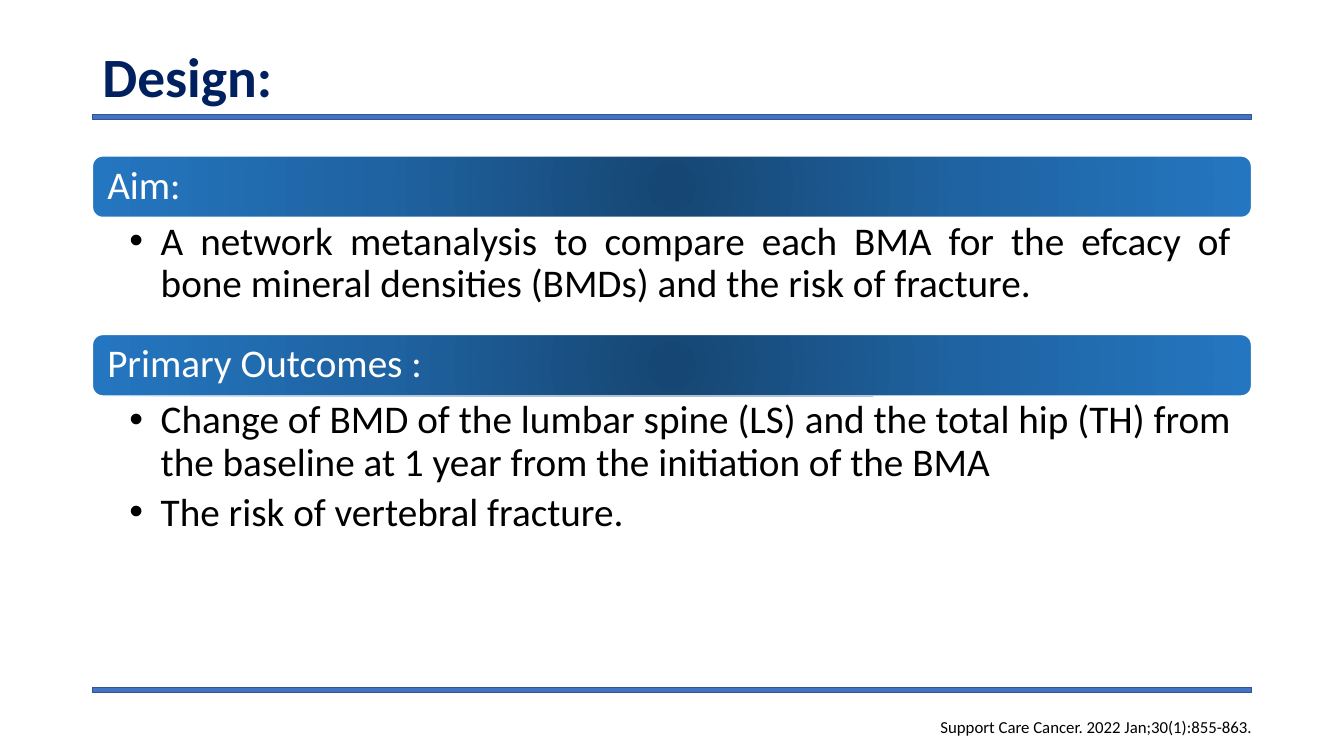
from pptx import Presentation
from pptx import util as u
from pptx.dml import color
from pptx.enum import shapes, text
from pptx.oxml import parse_xml

LEFT, WIDE = 2.33, 29.21
NS = "http://schemas.openxmlformats.org/drawingml/2006/main"
STOPS = [(0, "164672"), (50, "1F63A2"), (100, "2476C0")]
ALIGN = text.PP_ALIGN


def paint(target, tint):
    """Give a fill, line or font one solid colour."""
    if hasattr(target, "solid"):
        target.solid()
        target = target.fore_color
    else:
        target = target.color
    target.rgb = color.RGBColor.from_string(tint)


def place(shape, box):
    """Move a shape to a box of left, top, width and height in cm."""
    shape.left, shape.top, shape.width, shape.height = map(u.Cm, box)


def write(shape, *lines, size=28, tint="000000", bold=False, align=ALIGN.JUSTIFY,
          pitch=0.9, after=0, hang=0, anchor=text.MSO_ANCHOR.TOP,
          pads=(0.25, 0.13, 0.25, 0.13)):
    """Fill a shape with formatted paragraphs."""
    frame = shape.text_frame
    frame.word_wrap = True
    frame.auto_size = text.MSO_AUTO_SIZE.NONE
    frame.vertical_anchor = anchor
    (frame.margin_left, frame.margin_top,
     frame.margin_right, frame.margin_bottom) = map(u.Cm, pads)
    for n, line in enumerate(lines):
        para = frame.add_paragraph() if n else frame.paragraphs[0]
        para.alignment, para.line_spacing = align, pitch
        para.space_before, para.space_after = u.Pt(0), u.Pt(after)
        if hang:
            props = para._p.get_or_add_pPr()
            props.set("marL", str(u.Cm(hang)))
            props.set("indent", str(-u.Cm(hang)))
        run = para.add_run()
        run.text = line
        font = run.font
        font.name, font.size, font.bold = "Calibri", u.Pt(size), bold
        paint(font, tint)


def draw(slide, kind, box, fill, edge):
    """Add a flat preset shape with a thin outline."""
    shape = slide.shapes.add_shape(kind, *map(u.Cm, box))
    shape.shadow.inherit = False
    paint(shape.fill, fill)
    paint(shape.line, edge)
    shape.line.width = u.Pt(1)
    return shape


def glow(shape):
    """Swap the solid fill for a round gradient from the centre."""
    stops = "".join(f'<a:gs pos="{at * 1000}"><a:srgbClr val="{tint}"/></a:gs>'
                    for at, tint in STOPS)
    grad = parse_xml(
        f'<a:gradFill xmlns:a="{NS}" rotWithShape="1"><a:gsLst>{stops}</a:gsLst>'
        '<a:path path="circle"><a:fillToRect l="50000" t="50000" r="50000" '
        'b="50000"/></a:path></a:gradFill>')
    old = shape._element.spPr.find(f"{{{NS}}}solidFill")
    old.getparent().replace(old, grad)


def rule(slide, top):
    """Draw a blue rule across the slide."""
    draw(slide, shapes.MSO_SHAPE.RECTANGLE, (LEFT, top, WIDE, 0.13),
         "4472C4", "325491")


def topic(slide, body, box, head, items):
    """Draw a heading bar with its bullet list below."""
    left, top, wide, high = box
    tall = 1.55
    bar = draw(slide, shapes.MSO_SHAPE.ROUNDED_RECTANGLE,
               (left, top, wide, tall), STOPS[0][1], "FFFFFF")
    glow(bar)
    write(bar, head, tint="FFFFFF", anchor=text.MSO_ANCHOR.MIDDLE,
          pads=(0.3, 0.3, 0.3, 0.3))
    place(body, (left, top + tall, wide, high - tall))
    write(body, *items, after=5.6, hang=0.79, pads=(0.93, 0.1, 0.52, 0.1))


def header(slide, box, words):
    """Set the slide title."""
    title = slide.shapes.title
    place(title, box)
    write(title, words, size=39.6, tint="002060", bold=True, align=ALIGN.LEFT,
          anchor=text.MSO_ANCHOR.MIDDLE)


def source(slide, box, words):
    """Set the citation at the foot of the slide."""
    note = slide.shapes.add_textbox(*map(u.Cm, box))
    write(note, words, size=12, align=ALIGN.RIGHT, pitch=1)


def main():
    """Build and save the slide."""
    deck = Presentation()
    deck.slide_width, deck.slide_height = u.Cm(33.87), u.Cm(19.05)
    slide = deck.slides.add_slide(deck.slide_layouts[3])
    aim, goal = list(slide.placeholders)[1:]
    for top in (2.88, 17.32):
        rule(slide, top)
    header(slide, (LEFT, 1.07, WIDE, 1.88), "Design:")
    topic(slide, aim, (LEFT, 3.93, WIDE, 4.5), "Aim:", [
        "A network metanalysis to compare each BMA for the efcacy of "
        "bone mineral densities (BMDs) and the risk of fracture."])
    topic(slide, goal, (LEFT, 8.43, WIDE, 5.41), "Primary Outcomes :", [
        "Change of BMD of the lumbar spine (LS) and the total hip (TH) from "
        "the baseline at 1 year from the initiation of the BMA",
        "The risk of vertebral fracture."])
    source(slide, (14.87, 17.93, 16.94, 0.77),
           "Support Care Cancer. 2022 Jan;30(1):855-863.")
    deck.save("out.pptx")


if __name__ == "__main__":
    main()
